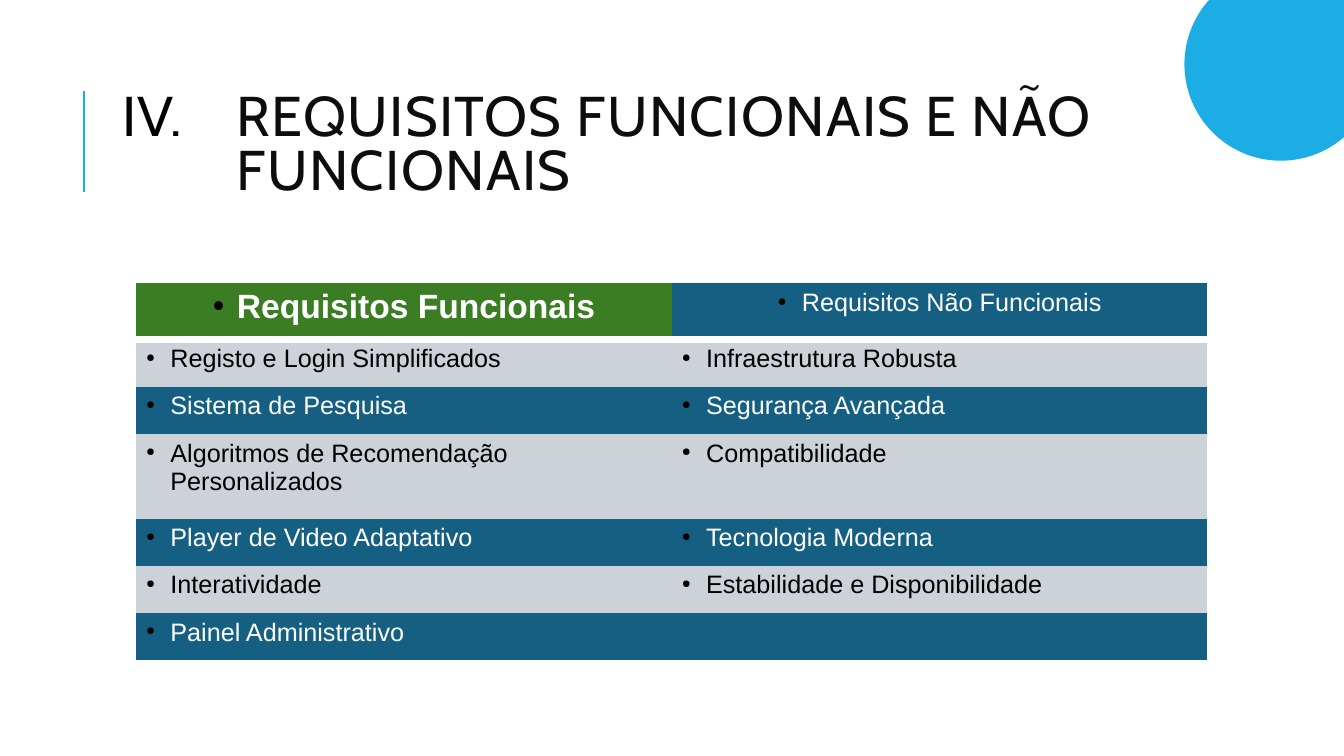
from dataclasses import dataclass

from lxml import etree
from pptx import Presentation
from pptx.dml.color import RGBColor
from pptx.enum.shapes import MSO_CONNECTOR, MSO_SHAPE
from pptx.enum.text import MSO_ANCHOR, MSO_AUTO_SIZE, PP_ALIGN
from pptx.oxml.ns import qn
from pptx.util import Cm, Pt

STRAIGHT = MSO_CONNECTOR.STRAIGHT
OVAL = MSO_SHAPE.OVAL
MIDDLE = MSO_ANCHOR.MIDDLE
NO_AUTOFIT = MSO_AUTO_SIZE.NONE
LEFT, CENTER = PP_ALIGN.LEFT, PP_ALIGN.CENTER
TITLE_ONLY = 5
PLAIN_TABLE = "{2D5ABB26-0587-4C30-8999-92F81FD0307C}"


@dataclass(frozen=True)
class Theme:
    accent: str = "1CADE4"
    ink: str = "0D0D0D"
    black: str = "000000"
    white: str = "FFFFFF"
    green: str = "3B7D23"
    blue: str = "156082"
    grey: str = "CCD2D8"
    title_font: str = "Cabin"
    body_font: str = "Arial"
    title_size: int = 40
    heading_size: int = 24
    body_size: int = 18


THEME = Theme()

HEADINGS = ("Requisitos Funcionais", "Requisitos Não Funcionais")
REQUIREMENTS = [
    ("Registo e Login Simplificados", "Infraestrutura Robusta"),
    ("Sistema de Pesquisa", "Segurança Avançada"),
    ("Algoritmos de Recomendação Personalizados", "Compatibilidade"),
    ("Player de Video Adaptativo", "Tecnologia Moderna"),
    ("Interatividade", "Estabilidade e Disponibilidade"),
    ("Painel Administrativo", ""),
]
ROW_HEIGHTS = (1.42, 1.19, 1.19, 2.13, 1.19, 1.19, 1.19)


def rgb(color):
    return RGBColor.from_string(color)


def add_child(parent, tag, **attributes):
    child = etree.SubElement(parent, qn(tag))
    for name, value in attributes.items():
        child.set(name, str(value))
    return child


def set_bullet(paragraph, indent, tag, size=None, **attributes):
    properties = paragraph._p.get_or_add_pPr()
    properties.set("marL", str(Cm(indent)))
    properties.set("indent", str(-Cm(indent)))
    color = add_child(properties, "a:buClr")
    add_child(color, "a:srgbClr", val=THEME.black)
    if size:
        add_child(properties, "a:buSzPct", val=size * 1000)
    add_child(properties, tag, **attributes)


def add_run(paragraph, text, font, size, color, bold=False):
    run = paragraph.add_run()
    run.text = text
    run.font.name = font
    run.font.size = Pt(size)
    run.font.bold = bold
    run.font.color.rgb = rgb(color)
    return run


def add_title(slide, left, top, width, height):
    # Accent rule beside the title
    rule_left = left - 0.73
    rule = slide.shapes.add_connector(
        STRAIGHT, Cm(rule_left), Cm(top + 3.2), Cm(rule_left), Cm(top + 0.66))
    rule.line.color.rgb = rgb(THEME.accent)
    rule.line.width = Pt(1.5)
    add_child(rule._element.spPr, "a:effectLst")

    # Numbered title
    title = slide.shapes.title
    title.left, title.top = Cm(left), Cm(top)
    title.width, title.height = Cm(width), Cm(height)
    frame = title.text_frame
    frame.word_wrap = True
    frame.auto_size = NO_AUTOFIT
    frame.vertical_anchor = MIDDLE
    paragraph = frame.paragraphs[0]
    set_bullet(paragraph, 2.87, "a:buAutoNum", type="romanUcPeriod", startAt=4)
    paragraph.alignment = LEFT
    paragraph.line_spacing = 0.8
    run = add_run(paragraph, "REQUISITOS FUNCIONAIS E NÃO FUNCIONAIS",
                  THEME.title_font, THEME.title_size, THEME.ink)
    run.font._element.set("spc", "100")


def fill_cell(cell, text, fill, color, size, alignment=LEFT, bold=False):
    cell.fill.solid()
    cell.fill.fore_color.rgb = rgb(fill)
    if text:
        paragraph = cell.text_frame.paragraphs[0]
        set_bullet(paragraph, 0.61, "a:buChar", size=45, char="●")
        paragraph.alignment = alignment
        add_run(paragraph, text, THEME.body_font, size, color, bold)


def add_bottom_border(cell, color, width):
    properties = cell._tc.get_or_add_tcPr()
    border = add_child(properties, "a:lnB", w=Pt(width))
    add_child(add_child(border, "a:solidFill"), "a:srgbClr", val=color)
    properties.insert(0, border)


def add_requirements(slide, left, top, width):
    frame = slide.shapes.add_table(
        len(ROW_HEIGHTS), len(HEADINGS),
        Cm(left), Cm(top), Cm(width), Cm(sum(ROW_HEIGHTS)))
    table = frame.table
    table.first_row = table.horz_banding = False
    table._tbl.tblPr.find(qn("a:tableStyleId")).text = PLAIN_TABLE
    for row, height in zip(table.rows, ROW_HEIGHTS):
        row.height = Cm(height)

    # Column headings
    styles = ((THEME.green, THEME.heading_size, True),
              (THEME.blue, THEME.body_size, False))
    for column, (text, (fill, size, bold)) in enumerate(zip(HEADINGS, styles)):
        cell = table.cell(0, column)
        fill_cell(cell, text, fill, THEME.white, size, CENTER, bold)
        add_bottom_border(cell, THEME.white, 6)

    # Rows in alternating grey and blue
    bands = ((THEME.blue, THEME.white), (THEME.grey, THEME.black))
    for row, texts in enumerate(REQUIREMENTS, start=1):
        fill, color = bands[row % 2]
        for column, text in enumerate(texts):
            fill_cell(table.cell(row, column), text, fill, color, THEME.body_size)


def add_corner_circle(slide, left, top, diameter):
    circle = slide.shapes.add_shape(
        OVAL, Cm(left), Cm(top), Cm(diameter), Cm(diameter))
    circle.shadow.inherit = False
    circle.fill.solid()
    circle.fill.fore_color.rgb = rgb(THEME.accent)
    circle.line.fill.background()


def main():
    presentation = Presentation()
    presentation.slide_width, presentation.slide_height = Cm(33.87), Cm(19.05)
    slide = presentation.slides.add_slide(presentation.slide_layouts[TITLE_ONLY])
    slide.background.fill.solid()
    slide.background.fill.fore_color.rgb = rgb(THEME.white)
    add_title(slide, 2.84, 1.63, 27, 4.17)
    add_requirements(slide, 3.43, 7.14, 27)
    add_corner_circle(slide, 29.85, -0.81, 4.86)
    presentation.save("out.pptx")


if __name__ == "__main__":
    main()
